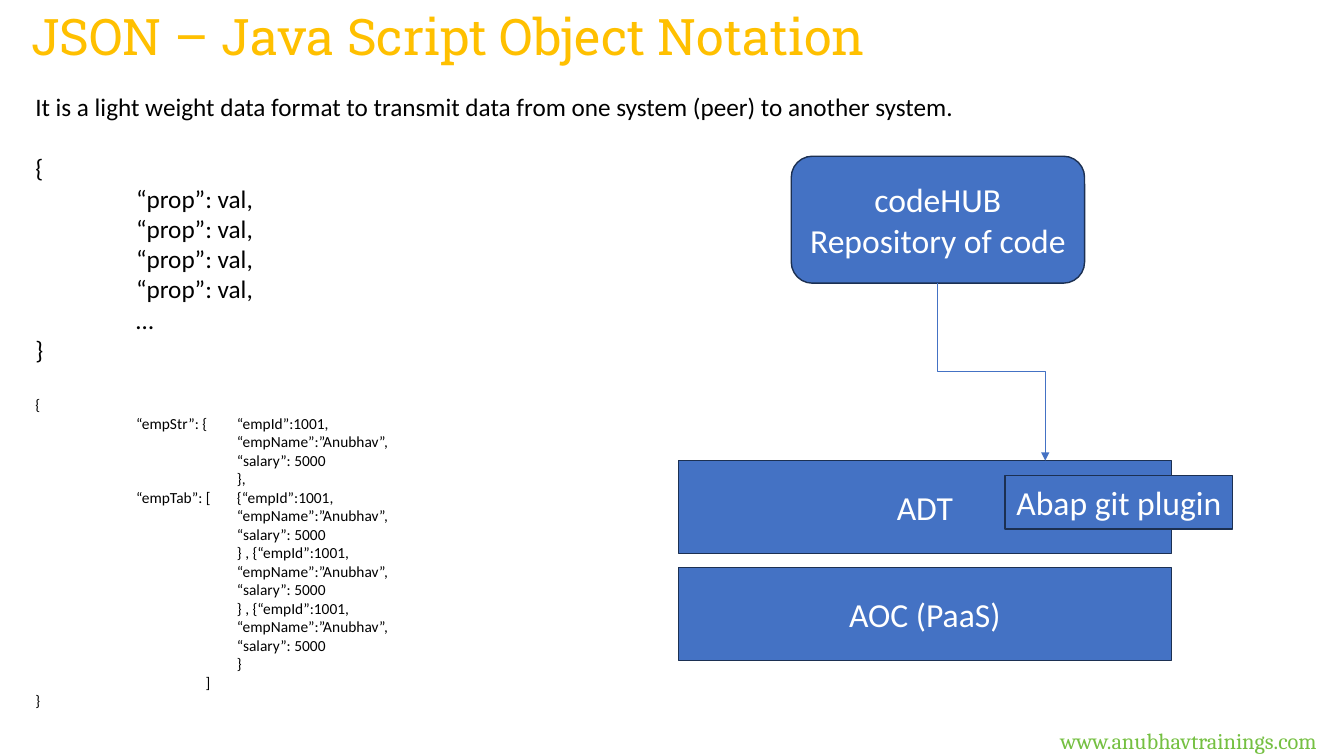
"""Build the JSON slide with its code samples and repository diagram."""
from dataclasses import dataclass

from lxml import etree
from pptx import Presentation
from pptx.dml.color import RGBColor
from pptx.enum.shapes import MSO_CONNECTOR, MSO_SHAPE
from pptx.enum.text import MSO_ANCHOR, MSO_AUTO_SIZE, PP_ALIGN
from pptx.oxml.ns import qn
from pptx.util import Inches, Pt

ELBOW = MSO_CONNECTOR.ELBOW
RECTANGLE = MSO_SHAPE.RECTANGLE
ROUNDED = MSO_SHAPE.ROUNDED_RECTANGLE
TOP, MIDDLE = MSO_ANCHOR.TOP, MSO_ANCHOR.MIDDLE
LEFT, CENTER = PP_ALIGN.LEFT, PP_ALIGN.CENTER
GROW = MSO_AUTO_SIZE.SHAPE_TO_FIT_TEXT

BLACK = RGBColor(0x00, 0x00, 0x00)
WHITE = RGBColor(0xFF, 0xFF, 0xFF)
GOLD = RGBColor(0xFF, 0xC0, 0x00)
GREEN = RGBColor(0x75, 0xC0, 0x42)
BLUE = RGBColor(0x44, 0x72, 0xC4)
NAVY = RGBColor(0x1C, 0x30, 0x52)

SLIDE_WIDTH, SLIDE_HEIGHT = Inches(13.33), Inches(7.5)
COLUMN, ROW = SLIDE_WIDTH / 40, SLIDE_HEIGHT / 30
TAB_SIZE = Inches(1)
BLANK_LINE = 22


@dataclass(frozen=True)
class Area:
    """A place on the slide in columns and rows."""
    left: float
    top: float
    width: float
    height: float

    def lengths(self) -> tuple[int, int, int, int]:
        """Return left, top, width and height in slide units."""
        return (round(self.left * COLUMN), round(self.top * ROW),
                round(self.width * COLUMN), round(self.height * ROW))


@dataclass(frozen=True)
class Style:
    """The look of a piece of text."""
    font: str
    size: int
    color: RGBColor
    align: PP_ALIGN = LEFT


@dataclass(frozen=True)
class Block:
    """Lines of body text in one size with a gap above."""
    lines: tuple[str, ...]
    size: int
    gap: int


@dataclass(frozen=True)
class Box:
    """A filled diagram box."""
    area: Area
    lines: tuple[str, ...]
    kind: MSO_SHAPE = RECTANGLE


TITLE_STYLE = Style("Roboto Slab", 36, GOLD)
BOX_STYLE = Style("Calibri", 24, WHITE, CENTER)
LINK_STYLE = Style("Cambria", 16, GREEN)
TITLE_AREA = Area(0.63, 0, 36.84, 2.84)
BODY_AREA = Area(0.75, 3.44, 38.73, 25.12)
LINK_AREA = Area(31.26, 28.64, 9.84, 1.48)

DETAILS = ("\t\t“empName”:”Anubhav”,", "\t\t“salary”: 5000")
NEXT_EMPLOYEE = ("\t\t} , {“empId”:1001,",) + DETAILS
BLOCKS = (
    Block(("It is a light weight data format to transmit data from one "
           "system (peer) to another system.",), 18, 0),
    Block(("{",) + ("\t“prop”: val,",) * 4 + ("\t…", "}"), 18, BLANK_LINE),
    Block(("{", "\t“empStr”: {\t“empId”:1001,") + DETAILS
          + ("\t\t},", "\t“empTab”: [ \t{“empId”:1001,") + DETAILS
          + NEXT_EMPLOYEE * 2
          + ("\t\t}", "\t                    ]", "}"), 11, BLANK_LINE),
)

REPOSITORY = Box(Area(23.55, 6.2, 8.73, 5.04),
                 ("codeHUB", "Repository of code"), ROUNDED)
LAYER_TOP, LAYER_PITCH = 18.28, 4.24
LAYERS = tuple(
    Box(Area(20.19, LAYER_TOP + index * LAYER_PITCH, 14.67, 3.68), (name,))
    for index, name in enumerate(("ADT", "AOC (PaaS)")))
PLUGIN = Box(Area(29.91, 18.88, 6.78, 2.12), ("Abap git plugin",))
ARROW_END_COLUMN = 31.11


def place(shape, area: Area) -> None:
    """Move and size a shape to an area."""
    shape.left, shape.top, shape.width, shape.height = area.lengths()


def add_span(para, text: str, style: Style) -> None:
    """Add one formatted run to a paragraph."""
    para.alignment = style.align
    span = para.add_run()
    span.text = text
    span.font.name = style.font
    span.font.size = Pt(style.size)
    span.font.color.rgb = style.color


def write_lines(frame, lines: tuple[str, ...], style: Style) -> None:
    """Write lines as paragraphs of a text frame."""
    for index, line in enumerate(lines):
        para = frame.add_paragraph() if index else frame.paragraphs[0]
        add_span(para, line, style)


def fill_title(title) -> None:
    """Place and write the slide title."""
    place(title, TITLE_AREA)
    frame = title.text_frame
    frame.word_wrap = True
    frame.vertical_anchor = TOP
    frame.auto_size = GROW
    write_lines(frame, ("JSON – Java Script Object Notation",), TITLE_STYLE)


def set_tabs(para) -> None:
    """Remove the bullet and indent of a paragraph and set its tab size."""
    properties = para._p.get_or_add_pPr()
    properties.set("marL", "0")
    properties.set("indent", "0")
    properties.set("defTabSz", str(TAB_SIZE))
    etree.SubElement(properties, qn("a:buNone"))


def fill_body(body) -> None:
    """Place the body and write the sentence and code samples."""
    place(body, BODY_AREA)
    frame = body.text_frame
    frame.word_wrap = True
    frame.auto_size = GROW
    para = frame.paragraphs[0]
    for block in BLOCKS:
        style = Style("Calibri", block.size, BLACK)
        for index, line in enumerate(block.lines):
            if para.runs:
                para = frame.add_paragraph()
            set_tabs(para)
            para.space_before = Pt(0 if index else block.gap)
            add_span(para, line, style)


def add_box(page, box: Box) -> None:
    """Draw one diagram box with centred text."""
    shape = page.shapes.add_shape(box.kind, *box.area.lengths())
    shape.shadow.inherit = False
    shape.fill.solid()
    shape.fill.fore_color.rgb = BLUE
    shape.line.color.rgb = NAVY
    shape.line.width = Pt(1)
    shape.text_frame.word_wrap = True
    shape.text_frame.vertical_anchor = MIDDLE
    write_lines(shape.text_frame, box.lines, BOX_STYLE)


def add_arrow(page) -> None:
    """Draw the elbow arrow from the repository down to the first layer."""
    source = REPOSITORY.area
    start_x = (source.left + source.width / 2) * COLUMN
    start_y = (source.top + source.height) * ROW
    end_x, end_y = ARROW_END_COLUMN * COLUMN, LAYER_TOP * ROW
    middle_x, middle_y = (start_x + end_x) / 2, (start_y + end_y) / 2
    half_drop, half_shift = (end_y - start_y) / 2, (end_x - start_x) / 2
    arrow = page.shapes.add_connector(
        ELBOW, round(middle_x - half_drop), round(middle_y - half_shift),
        round(middle_x + half_drop), round(middle_y + half_shift))
    arrow.line.color.rgb = BLUE
    arrow.line.width = Pt(0.75)
    properties = arrow._element.spPr
    transform = properties.find(qn("a:xfrm"))
    transform.set("rot", str(270 * 60000))
    transform.set("flipH", "1")
    line = properties.find(qn("a:ln"))
    etree.SubElement(line, qn("a:tailEnd"), type="triangle")
    etree.SubElement(properties, qn("a:effectLst"))


def add_link(page) -> None:
    """Write the web address at the lower right."""
    frame = page.shapes.add_textbox(*LINK_AREA.lengths()).text_frame
    frame.word_wrap = True
    frame.auto_size = GROW
    write_lines(frame, ("www.anubhavtrainings.com",), LINK_STYLE)


def main() -> None:
    """Build and save the deck."""
    deck = Presentation()
    deck.slide_width, deck.slide_height = SLIDE_WIDTH, SLIDE_HEIGHT
    page = deck.slides.add_slide(deck.slide_layouts[1])
    fill_body(page.placeholders[1])
    fill_title(page.shapes.title)
    for box in (REPOSITORY, *LAYERS):
        add_box(page, box)
    add_arrow(page)
    add_box(page, PLUGIN)
    add_link(page)
    deck.save("out.pptx")


if __name__ == "__main__":
    main()
